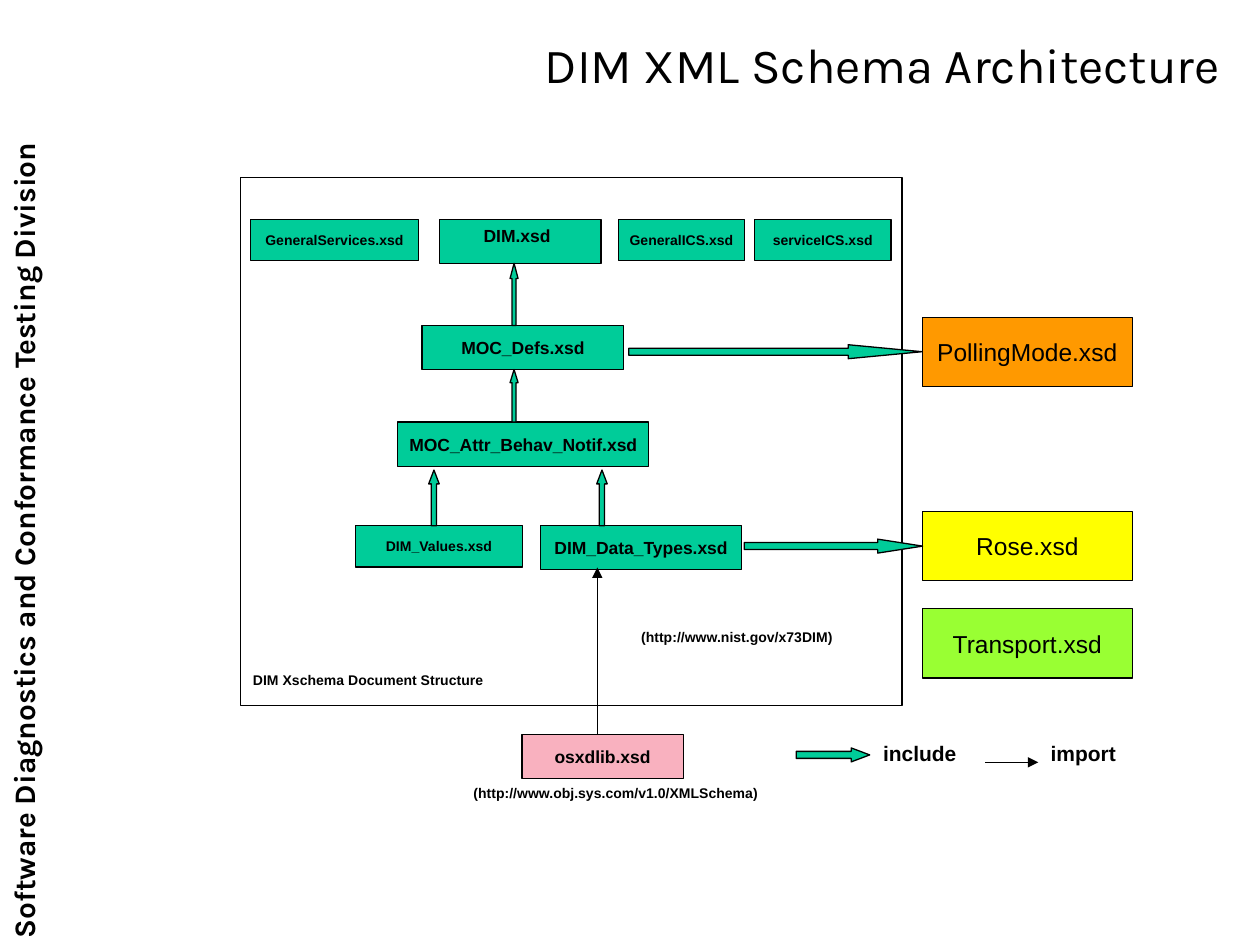
from lxml.etree import SubElement
from pptx import Presentation
from pptx.dml.color import RGBColor
from pptx.enum.shapes import MSO_CONNECTOR as Link, MSO_SHAPE as Kind
from pptx.enum.text import MSO_ANCHOR as Anchor, PP_ALIGN as Align
from pptx.oxml.ns import qn
from pptx.util import Pt

TITLE = "DIM XML Schema Architecture"
SIDE = "Software Diagnostics and Conformance Testing Division"
GREEN, ORANGE, YELLOW, LIME, PINK = "00CC99", "FF9900", "FFFF00", "99FF33", "F9B1BF"
BLACK = "000000"
FRAME = (137.5, 101.5, 378, 301.7)

# Rows share a top, a height, a text size and a weight: (left, width, text, fill)
ROWS = [
    (125.3, 23.8, 8, True, [
        (143.3, 95.8, "GeneralServices.xsd", GREEN),
        (353.5, 72, "GeneralICS.xsd", GREEN),
        (431.3, 77.8, "serviceICS.xsd", GREEN)]),
    (125.3, 25.2, 10, True, [(251.3, 92.2, "", GREEN)]),
    (186, 25.2, 10, True, [(241.2, 115.2, "MOC_Defs.xsd", GREEN)]),
    (241.2, 25.2, 10, True, [(227.3, 143.3, "MOC_Attr_Behav_Notif.xsd", GREEN)]),
    (300.2, 23.8, 8, True, [(203, 95.8, "DIM_Values.xsd", GREEN)]),
    (300.2, 25.2, 10, True, [(308.7, 115.2, "DIM_Data_Types.xsd", GREEN)]),
    (419.8, 25.2, 10, True, [(298.2, 92.2, "osxdlib.xsd", PINK)]),
]
# Outside schemas: (top, text, fill)
OUTER = [
    (181.3, "PollingMode.xsd", ORANGE),
    (292.3, "Rose.xsd", YELLOW),
    (347.8, "Transport.xsd", LIME),
]
ROWS += [(top, 39.6, 14, False, [(527, 120.2, text, fill)])
         for top, text, fill in OUTER]

# (centre x, top, width, height, head length in widths)
UP = [
    (293.8, 150.5, 4.6, 35.5, 1.9),
    (293.8, 211.2, 4.6, 30, 1.63),
    (248, 268.6, 6, 31.8, 1.32),
    (344, 268.6, 6, 31.8, 1.32),
]
# (left, centre y, width, head length in heights)
RIGHT = [
    (359.3, 201, 167.7, 5.29),
    (425.3, 312.1, 101.9, 3.21),
    (455, 431.4, 42, 1.32),
]
THICK = 8

# (left, top, width, height, size, text)
LABELS = [
    (269.3, 125.3, 52.6, 19.4, 10, "DIM.xsd"),
    (359.3, 355.9, 123.8, 17, 8, "(http://www.nist.gov/x73DIM)"),
    (137.5, 380, 146.2, 17, 8, "DIM Xschema Document Structure"),
    (263.5, 445, 180, 17, 8, "(http://www.obj.sys.com/v1.0/XMLSchema)"),
    (497.5, 419.8, 56.2, 21.6, 12, "include"),
    (593.3, 419.8, 51.8, 21.6, 12, "import"),
]
# Import arrows: from x, y to x, y
LINES = [(341.3, 419.8, 341.3, 324.3), (563, 435.6, 593.3, 435.6)]


def color(code):
    return RGBColor.from_string(code)


def pts(nums):
    return [Pt(n) for n in nums]


def write(shape, text, size, bold=True, face="Arial", align=Align.LEFT,
          anchor=Anchor.TOP, wrap=False):
    frame = shape.text_frame
    frame.word_wrap = wrap
    frame.vertical_anchor = anchor
    para = frame.paragraphs[0]
    para.alignment = align
    run = para.add_run()
    run.text = text
    for key, val in {"name": face, "size": Pt(size), "bold": bold}.items():
        setattr(run.font, key, val)
    run.font.color.rgb = color(BLACK)


def draw(shapes, kind, spot, fill=None):
    shape = shapes.add_shape(kind, *pts(spot))
    shape.shadow.inherit = False
    if fill:
        shape.fill.solid()
        shape.fill.fore_color.rgb = color(fill)
    else:
        shape.fill.background()
    shape.line.color.rgb = color(BLACK)
    shape.line.width = Pt(0.75)
    return shape


def arrow(shapes, kind, spot, head):
    shape = draw(shapes, kind, spot, GREEN)
    shape.adjustments[0] = 0.5
    shape.adjustments[1] = head


def link(shapes, ends):
    line = shapes.add_connector(Link.STRAIGHT, *pts(ends))
    line.line.color.rgb = color(BLACK)
    line.line.width = Pt(0.75)
    SubElement(line.line._get_or_add_ln(), qn("a:tailEnd"), type="triangle")
    SubElement(line._element.spPr, qn("a:effectLst"))


def main():
    deck = Presentation()
    deck.slide_width, deck.slide_height = pts((720, 540))
    shapes = deck.slides.add_slide(deck.slide_layouts[5]).shapes

    title = shapes.title
    title.left, title.top, title.width, title.height = pts((151.2, 10, 553, 52.6))
    write(title, TITLE, 28, False, "Karla", Align.RIGHT, Anchor.MIDDLE, True)

    side = shapes.add_textbox(*pts((-236, 280, 499, 28)))
    side.rotation = 270
    write(side, SIDE, 17, face="Karla", wrap=True)

    draw(shapes, Kind.RECTANGLE, FRAME)
    for top, high, size, bold, boxes in ROWS:
        for left, wide, text, fill in boxes:
            box = draw(shapes, Kind.RECTANGLE, (left, top, wide, high), fill)
            if text:
                write(box, text, size, bold, align=Align.CENTER,
                      anchor=Anchor.MIDDLE)
    for mid, top, wide, high, head in UP:
        arrow(shapes, Kind.UP_ARROW, (mid - wide / 2, top, wide, high), head)
    for left, mid, wide, head in RIGHT:
        arrow(shapes, Kind.RIGHT_ARROW, (left, mid - THICK / 2, wide, THICK), head)
    for ends in LINES:
        link(shapes, ends)
    for *spot, size, text in LABELS:
        write(shapes.add_textbox(*pts(spot)), text, size)

    deck.save("out.pptx")


if __name__ == "__main__":
    main()
